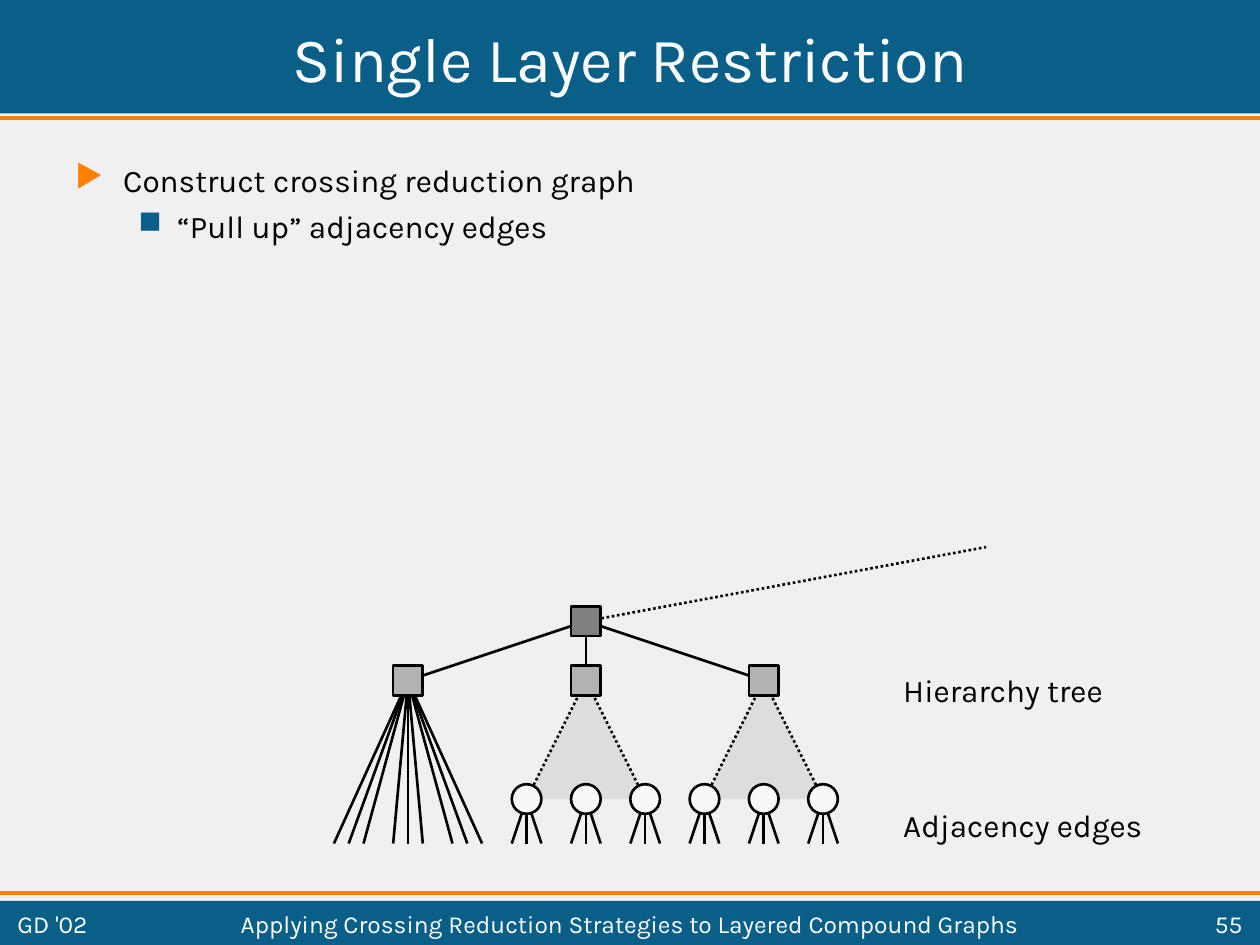
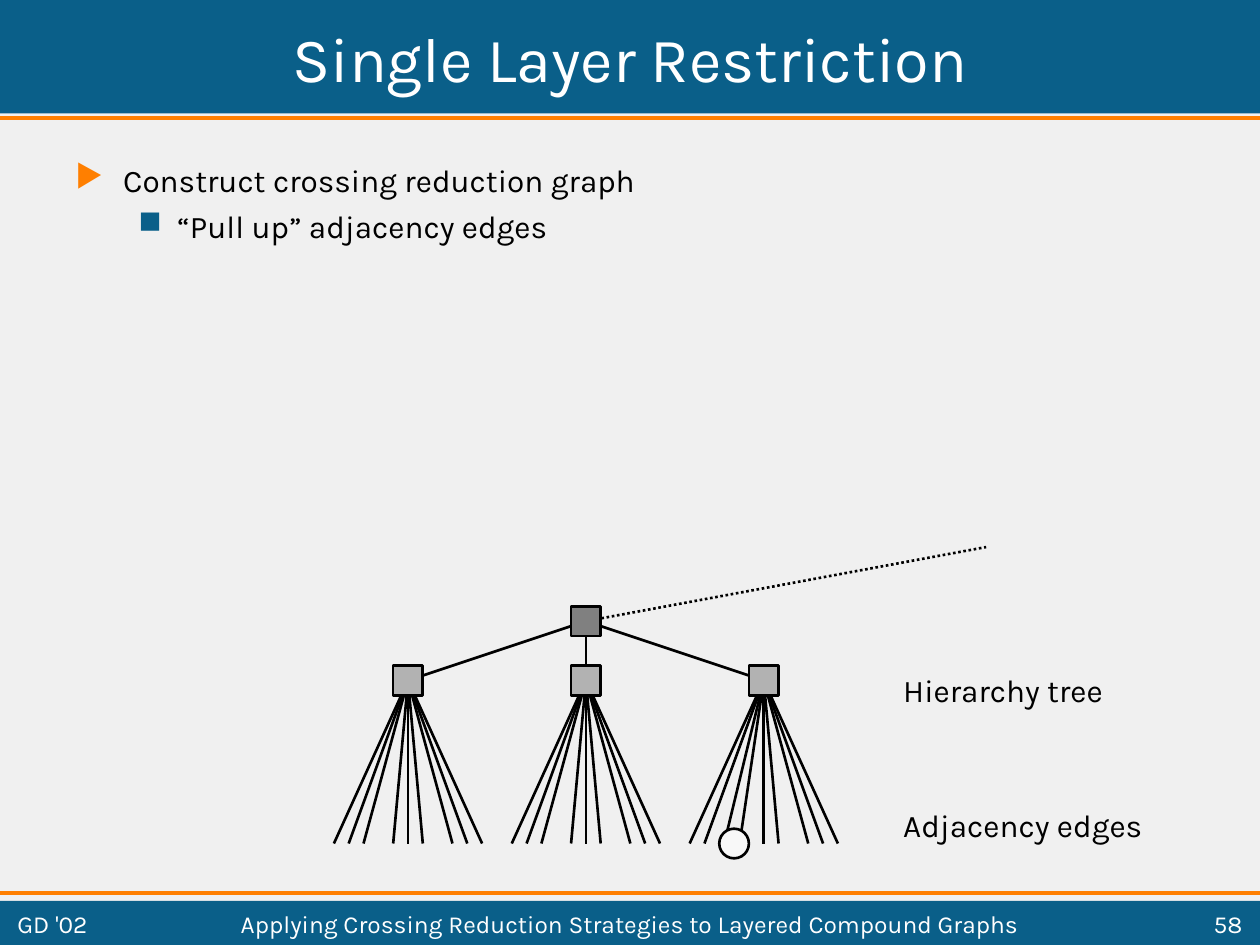
import dataclasses
import lxml.etree
import pptx
import pptx.dml.color
import pptx.enum.dml
import pptx.enum.shapes
import pptx.enum.text
import pptx.oxml.ns
import pptx.util

TITLE = "Single Layer Restriction"
BULLETS = [
    {"text": "Construct crossing reduction graph", "mark": "▶", "color": "FF7F00",
     "margin": 0.38, "hanging": 0.38, "before": 11.2},
    {"text": "“Pull up” adjacency edges", "mark": "■", "color": "0A5F89",
     "margin": 0.81, "hanging": 0.31, "before": 4.5},
]
LABELS = [("Hierarchy tree", 5.28, 1.88), ("Adjacency edges", 6.35, 2.15)]
VENUE = "GD '02"
TALK = "Applying Crossing Reduction Strategies to Layered Compound Graphs"

EVEN_FAN = [-5, -4, -3, -1, 0, 1, 3, 4, 5]
FAN_AT_VERTEX = [-5, -4, -2.67, -1.63, 0, 1, 3, 4, 5]
COLLAPSED = None
SLIDES = [
    {"number": 55, "subtrees": [EVEN_FAN, COLLAPSED, COLLAPSED], "loose_vertices": []},
    {"number": 58, "subtrees": [EVEN_FAN, EVEN_FAN, FAN_AT_VERTEX], "loose_vertices": [(10, 15)]},
]

WIDTH, HEIGHT = 10, 7.5
CELL = WIDTH / 85
ROOT_X, ROOT_Y = 4.65, 4.93
SUBTREE_COLUMNS = [-12, 0, 12]
LEAF_COLUMNS = [-4, 0, 4]
LEG_COLUMNS = [-1, 0, 1]
HUB_ROW, LEAF_ROW, END_ROW = 4, 12, 15
PARENT = (27, -5)
NODE_CELLS = 2


@dataclasses.dataclass(frozen=True)
class Theme:
    font: str = "Karla"
    background: str = "F0F0F0"
    band: str = "0A5F89"
    rule: str = "FF7F00"
    light: str = "FFFFFF"
    ink: str = "000000"
    root: str = "808080"
    hub: str = "B2B2B2"
    wedge: str = "DDDDDD"
    vertex: str = "F8F8F8"
    title_size: float = 36
    body_size: float = 18
    footer_size: float = 14
    edge_width: float = 1.5
    rule_width: float = 2.25


THEME = Theme()
SHAPES = pptx.enum.shapes.MSO_SHAPE
ALIGN = pptx.enum.text.PP_ALIGN
ANCHOR = pptx.enum.text.MSO_ANCHOR
FIT = pptx.enum.text.MSO_AUTO_SIZE
inches = pptx.util.Inches


def rgb(color):
    return pptx.dml.color.RGBColor.from_string(color)


def at_grid(column, row):
    return ROOT_X + column * CELL, ROOT_Y + row * CELL


def add_line(slide, start, end, color=THEME.ink, width=THEME.edge_width, dotted=False):
    connector = slide.shapes.add_connector(
        pptx.enum.shapes.MSO_CONNECTOR.STRAIGHT, *map(inches, (*start, *end)))
    connector.line.color.rgb = rgb(color)
    connector.line.width = pptx.util.Pt(width)
    if dotted:
        connector.line.dash_style = pptx.enum.dml.MSO_LINE.ROUND_DOT
    lxml.etree.SubElement(connector.element.spPr, pptx.oxml.ns.qn("a:effectLst"))


def add_edge(slide, start, end, dotted=False):
    add_line(slide, at_grid(*start), at_grid(*end), dotted=dotted)


def paint(shape, fill, outline=None):
    shape.shadow.inherit = False
    shape.fill.solid()
    shape.fill.fore_color.rgb = rgb(fill)
    if outline:
        shape.line.color.rgb = rgb(outline)
        shape.line.width = pptx.util.Pt(THEME.edge_width)
    else:
        shape.line.fill.background()


def add_node(slide, kind, column, row, fill):
    half = NODE_CELLS / 2
    left, top = at_grid(column - half, row - half)
    size = inches(NODE_CELLS * CELL)
    paint(slide.shapes.add_shape(kind, inches(left), inches(top), size, size), fill, THEME.ink)


def write(paragraph, text, size, color, align=ALIGN.LEFT):
    paragraph.alignment = align
    run = paragraph.add_run()
    run.text = text
    run.font.name = THEME.font
    run.font.size = pptx.util.Pt(size)
    run.font.color.rgb = rgb(color)


def format_frame(shape, anchor=ANCHOR.TOP, wrap=True, fit=FIT.NONE):
    frame = shape.text_frame
    frame.word_wrap = wrap
    frame.auto_size = fit
    frame.vertical_anchor = anchor
    frame.margin_left = frame.margin_right = inches(0.1)
    frame.margin_top = frame.margin_bottom = inches(0.05)
    return frame


def add_text_frame(slide, box, **options):
    return format_frame(slide.shapes.add_textbox(*map(inches, box)), **options)


def add_bands(slide):
    for top, height in [(0, 0.9), (7.15, 0.35)]:
        paint(slide.shapes.add_shape(
            SHAPES.RECTANGLE, *map(inches, (0, top, WIDTH, height))), THEME.band)
    for y in (0.94, 7.09):
        add_line(slide, (0, y), (WIDTH, y), THEME.rule, THEME.rule_width)


def place_title(slide):
    title = slide.shapes.title
    title.left, title.top, title.width, title.height = map(inches, (0.04, 0.04, 9.92, 0.83))
    frame = format_frame(title, anchor=ANCHOR.MIDDLE)
    write(frame.paragraphs[0], TITLE, THEME.title_size, THEME.light, ALIGN.CENTER)
    title.element.getparent().append(title.element)


def add_footer(slide, number):
    fields = [
        (TALK, 1.3, 7.4, ALIGN.CENTER),
        (str(number), 8.78, 1.18, ALIGN.RIGHT),
        (VENUE, 0.04, 1.18, ALIGN.LEFT),
    ]
    for text, left, width, align in fields:
        frame = add_text_frame(slide, (left, 7.19, width, 0.28), anchor=ANCHOR.MIDDLE)
        write(frame.paragraphs[0], text, THEME.footer_size, THEME.light, align)


def add_bullets(slide):
    frame = add_text_frame(slide, (0.5, 1.23, 9, 2.75))
    for index, bullet in enumerate(BULLETS):
        paragraph = frame.add_paragraph() if index else frame.paragraphs[0]
        paragraph.level = index
        paragraph.space_before = pptx.util.Pt(bullet["before"])
        write(paragraph, bullet["text"], THEME.body_size, THEME.ink)
        properties = paragraph._p.get_or_add_pPr()
        properties.set("marL", str(inches(bullet["margin"])))
        properties.set("indent", str(-inches(bullet["hanging"])))
        color = lxml.etree.SubElement(properties, pptx.oxml.ns.qn("a:buClr"))
        lxml.etree.SubElement(color, pptx.oxml.ns.qn("a:srgbClr"), val=bullet["color"])
        lxml.etree.SubElement(properties, pptx.oxml.ns.qn("a:buChar"), char=bullet["mark"])


def add_labels(slide):
    for text, top, width in LABELS:
        frame = add_text_frame(slide, (7.07, top, width, 0.4), wrap=False, fit=FIT.SHAPE_TO_FIT_TEXT)
        write(frame.paragraphs[0], text, THEME.body_size, THEME.ink)


def add_wedge(slide, column):
    hub = (column, HUB_ROW)
    corners = [(column + LEAF_COLUMNS[0], LEAF_ROW), (column + LEAF_COLUMNS[-1], LEAF_ROW)]
    apex, *base = [tuple(map(inches, at_grid(*point))) for point in (hub, *corners)]
    builder = slide.shapes.build_freeform(*apex)
    builder.add_line_segments(base, close=True)
    paint(builder.convert_to_shape(), THEME.wedge)
    for corner in corners:
        add_edge(slide, corner, hub, dotted=True)


def add_leaves(slide, column):
    for offset in LEAF_COLUMNS:
        leaf = (column + offset, LEAF_ROW)
        for leg in LEG_COLUMNS:
            add_edge(slide, leaf, (leaf[0] + leg, END_ROW))
        add_node(slide, SHAPES.OVAL, *leaf, THEME.vertex)


def add_tree(slide, subtrees, loose_vertices):
    root = (0, 0)
    add_edge(slide, root, PARENT, dotted=True)
    for column in SUBTREE_COLUMNS:
        add_edge(slide, (column, HUB_ROW), root)
    add_node(slide, SHAPES.RECTANGLE, *root, THEME.root)
    for column, fan in zip(SUBTREE_COLUMNS, subtrees):
        if fan is COLLAPSED:
            add_wedge(slide, column)
            add_leaves(slide, column)
        else:
            for offset in fan:
                add_edge(slide, (column, HUB_ROW), (column + offset, END_ROW))
        add_node(slide, SHAPES.RECTANGLE, column, HUB_ROW, THEME.hub)
    for vertex in loose_vertices:
        add_node(slide, SHAPES.OVAL, *vertex, THEME.vertex)


def main():
    presentation = pptx.Presentation()
    presentation.slide_width = inches(WIDTH)
    presentation.slide_height = inches(HEIGHT)
    background = presentation.slide_master.background.fill
    background.solid()
    background.fore_color.rgb = rgb(THEME.background)
    title_only = presentation.slide_layouts.get_by_name("Title Only")
    for content in SLIDES:
        slide = presentation.slides.add_slide(title_only)
        add_bands(slide)
        place_title(slide)
        add_bullets(slide)
        add_tree(slide, content["subtrees"], content["loose_vertices"])
        add_labels(slide)
        add_footer(slide, content["number"])
    presentation.save("out.pptx")


if __name__ == "__main__":
    main()
